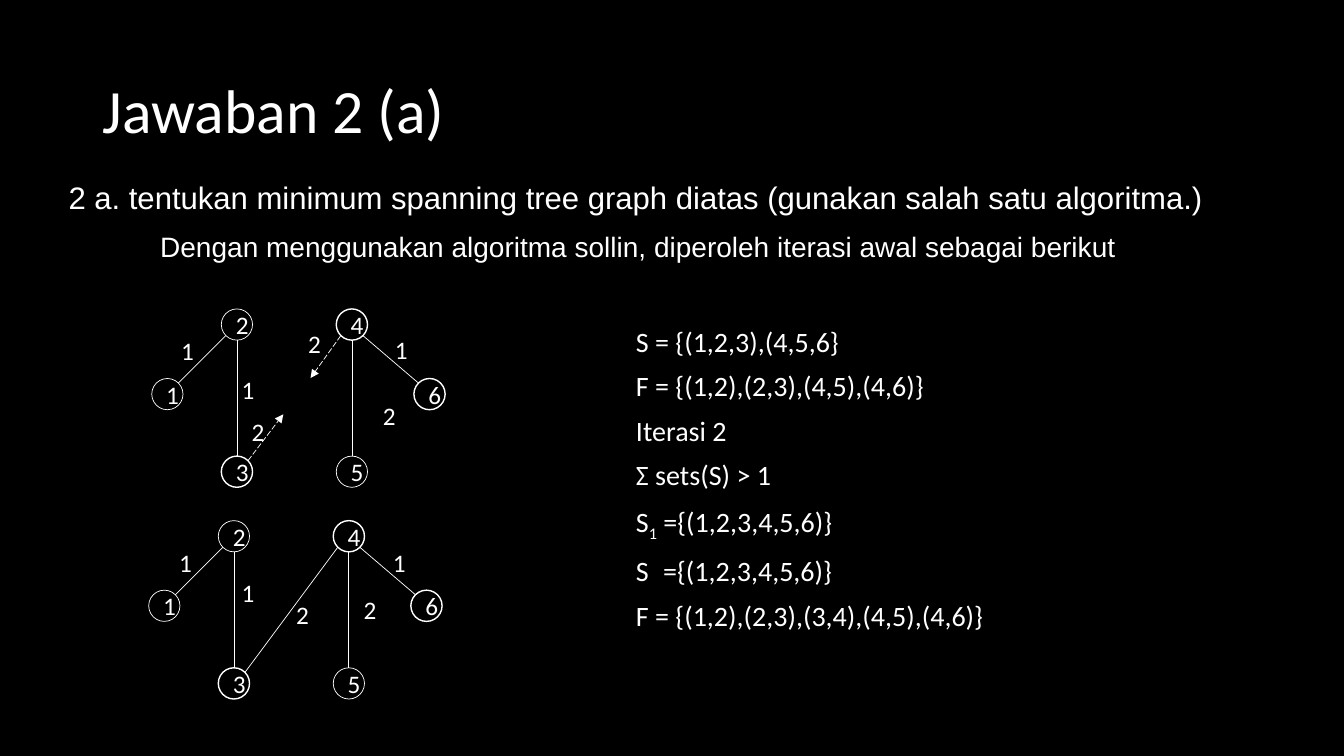
from pptx import Presentation
from pptx.dml.color import RGBColor
from pptx.enum.dml import MSO_LINE_DASH_STYLE as Dash
from pptx.enum.shapes import MSO_CONNECTOR as Connector, MSO_SHAPE as Shape
from pptx.enum.text import MSO_ANCHOR as Anchor, MSO_AUTO_SIZE as AutoSize, PP_ALIGN as Align
from pptx.oxml.ns import qn
from pptx.util import Inches, Pt
from lxml.etree import SubElement

COLORS = {"background": "000000", "ink": "FFFFFF"}

TITLE = "Jawaban 2 (a)"
QUESTION = "2 a. tentukan minimum spanning tree graph diatas (gunakan salah satu algoritma.)"
METHOD = "Dengan menggunakan algoritma sollin, diperoleh iterasi awal sebagai berikut"

# Each line is a list of runs; every second run is a subscript.
STEPS = [
    ["S = {(1,2,3),(4,5,6}"],
    ["F = {(1,2),(2,3),(4,5),(4,6)}"],
    ["Iterasi 2"],
    ["Σ sets(S) > 1"],
    ["S", "1", " ={(1,2,3,4,5,6)}"],
    ["S", "\t", "={(1,2,3,4,5,6)}"],
    ["F = {(1,2),(2,3),(3,4),(4,5),(4,6)}"],
]
EQUALS_TAB = 0.27

# Node centres within a tree, and the edges with the direction each end faces
NODES = {"2": (2.35, 3.22), "1": (1.66, 3.91), "5": (3.49, 4.68),
         "3": (2.35, 4.68), "4": (3.49, 3.22), "6": (4.26, 3.91)}
BOLD_NODES = "346"
DIAMETER = 0.31
DIRECTIONS = {"N": (0, -1), "S": (0, 1), "NE": (0.71, -0.71),
              "NW": (-0.71, -0.71), "SE": (0.71, 0.71), "SW": (-0.71, 0.71)}
SHARED_EDGES = [("1", "NE", "2", "SW"), ("3", "N", "2", "S"),
                ("4", "SE", "6", "NW"), ("5", "N", "4", "S")]

# Label centres and arrow tips are slide positions.
TREES = [
    {"offset": (0, 0), "extra_edges": [],
     "arrows": [("3", "NE", (2.81, 4.11)), ("4", "SW", (3.08, 3.75))],
     "labels": [("1", 1.86, 3.48), ("1", 2.46, 3.86), ("2", 3.12, 3.41),
                ("1", 3.98, 3.47), ("2", 3.86, 4.12), ("2", 2.56, 4.28)]},
    {"offset": (-0.03, 2.1), "extra_edges": [("4", "SW", "3", "NE")],
     "arrows": [],
     "labels": [("1", 1.84, 5.58), ("1", 2.46, 5.88), ("2", 3.67, 6.05),
                ("1", 3.96, 5.58), ("2", 3, 6.1)]},
]
LABEL_WIDTH, LABEL_HEIGHT = 0.61, 0.23


def color(name):
    return RGBColor.from_string(COLORS[name])


def apply(target, formats):
    for name, value in formats.items():
        setattr(target, name, value)


def add_span(para, text, size, font="Calibri"):
    span = para.add_run()
    span.text = text
    apply(span.font, {"size": Pt(size), "name": font})
    span.font.color.rgb = color("ink")
    return span


def place(shape, left, top, width, height):
    apply(shape, {"left": Inches(left), "top": Inches(top),
                  "width": Inches(width), "height": Inches(height)})


def write_line(frame, text, size, font, align):
    apply(frame, {"word_wrap": True, "auto_size": AutoSize.NONE})
    para = frame.paragraphs[0]
    apply(para, {"alignment": align, "line_spacing": 0.9, "space_before": Pt(0)})
    add_span(para, text, size, font)
    return para


def write_digit(shape, digit):
    apply(shape.text_frame, {"word_wrap": True, "vertical_anchor": Anchor.MIDDLE})
    para = shape.text_frame.paragraphs[0]
    para.alignment = Align.CENTER
    add_span(para, digit, 18)


def add_text_box(shapes, left, top, width, height):
    return shapes.add_textbox(Inches(left), Inches(top), Inches(width), Inches(height))


def add_edge(shapes, start, end, arrow=False):
    edge = shapes.add_connector(Connector.STRAIGHT, *map(Inches, start + end))
    edge.line.color.rgb = color("ink")
    edge.line.width = Pt(0.5)
    if arrow:
        edge.line.dash_style = Dash.LONG_DASH
        SubElement(edge.line._get_or_add_ln(), qn("a:tailEnd"), type="triangle")
    SubElement(edge._element.spPr, qn("a:effectLst"))


def draw_tree(page, tree):
    shapes = page.shapes.add_group_shape().shapes
    shift_x, shift_y = tree["offset"]
    centres = {name: (x + shift_x, y + shift_y) for name, (x, y) in NODES.items()}
    radius = DIAMETER / 2

    def rim(name, direction):
        """Point on a node's circle facing the given direction."""
        (x, y), (across, down) = centres[name], DIRECTIONS[direction]
        return x + radius * across, y + radius * down

    for name, (x, y) in centres.items():
        node = shapes.add_shape(Shape.OVAL, Inches(x - radius), Inches(y - radius),
                                Inches(DIAMETER), Inches(DIAMETER))
        node.shadow.inherit = False
        node.fill.background()
        node.line.color.rgb = color("ink")
        node.line.width = Pt(1 if name in BOLD_NODES else 0.5)
        write_digit(node, name)
    for start, start_side, end, end_side in SHARED_EDGES + tree["extra_edges"]:
        add_edge(shapes, rim(start, start_side), rim(end, end_side))
    for start, side, tip in tree["arrows"]:
        add_edge(shapes, rim(start, side), tip, arrow=True)
    for digit, x, y in tree["labels"]:
        label = add_text_box(shapes, x - LABEL_WIDTH / 2, y - LABEL_HEIGHT / 2,
                             LABEL_WIDTH, LABEL_HEIGHT)
        write_digit(label, digit)


def write_steps(page):
    frame = add_text_box(page.shapes, 6.21, 3.21, 6.24, 3.4).text_frame
    frame.word_wrap = True
    for index, runs in enumerate(STEPS):
        para = frame.add_paragraph() if index else frame.paragraphs[0]
        apply(para, {"line_spacing": 0.9, "space_before": Pt(10 if index else 0)})
        if "\t" in runs:
            tabs = SubElement(para._p.get_or_add_pPr(), qn("a:tabLst"))
            SubElement(tabs, qn("a:tab"), pos=str(Inches(EQUALS_TAB)), algn="l")
        for position, text in enumerate(runs):
            span = add_span(para, text, 20)
            if position % 2:
                span._r.get_or_add_rPr().set("baseline", "-25000")


def main():
    deck = Presentation()
    apply(deck, {"slide_width": Inches(13.33), "slide_height": Inches(7.5)})
    page = deck.slides.add_slide(deck.slide_layouts[1])
    page.background.fill.solid()
    page.background.fill.fore_color.rgb = color("background")

    title, body = page.shapes.title, page.placeholders[1]
    place(title, 0.92, 0.4, 11.5, 1.45)
    write_line(title.text_frame, TITLE, 44, "Calibri", Align.LEFT)
    title.text_frame.vertical_anchor = Anchor.MIDDLE

    place(body, 0.58, 1.76, 11.5, 0.49)
    question = write_line(body.text_frame, QUESTION, 22.2, "Arial", Align.JUSTIFY)
    properties = question._p.get_or_add_pPr()
    apply_indent = {"marL": "0", "indent": "0"}
    for name, value in apply_indent.items():
        properties.set(name, value)
    SubElement(properties, qn("a:buNone"))

    method = add_text_box(page.shapes, 1.49, 2.27, 10.08, 0.49)
    write_line(method.text_frame, METHOD, 20, "Arial", Align.JUSTIFY)
    write_steps(page)
    for tree in TREES:
        draw_tree(page, tree)
    deck.save("out.pptx")


if __name__ == "__main__":
    main()
